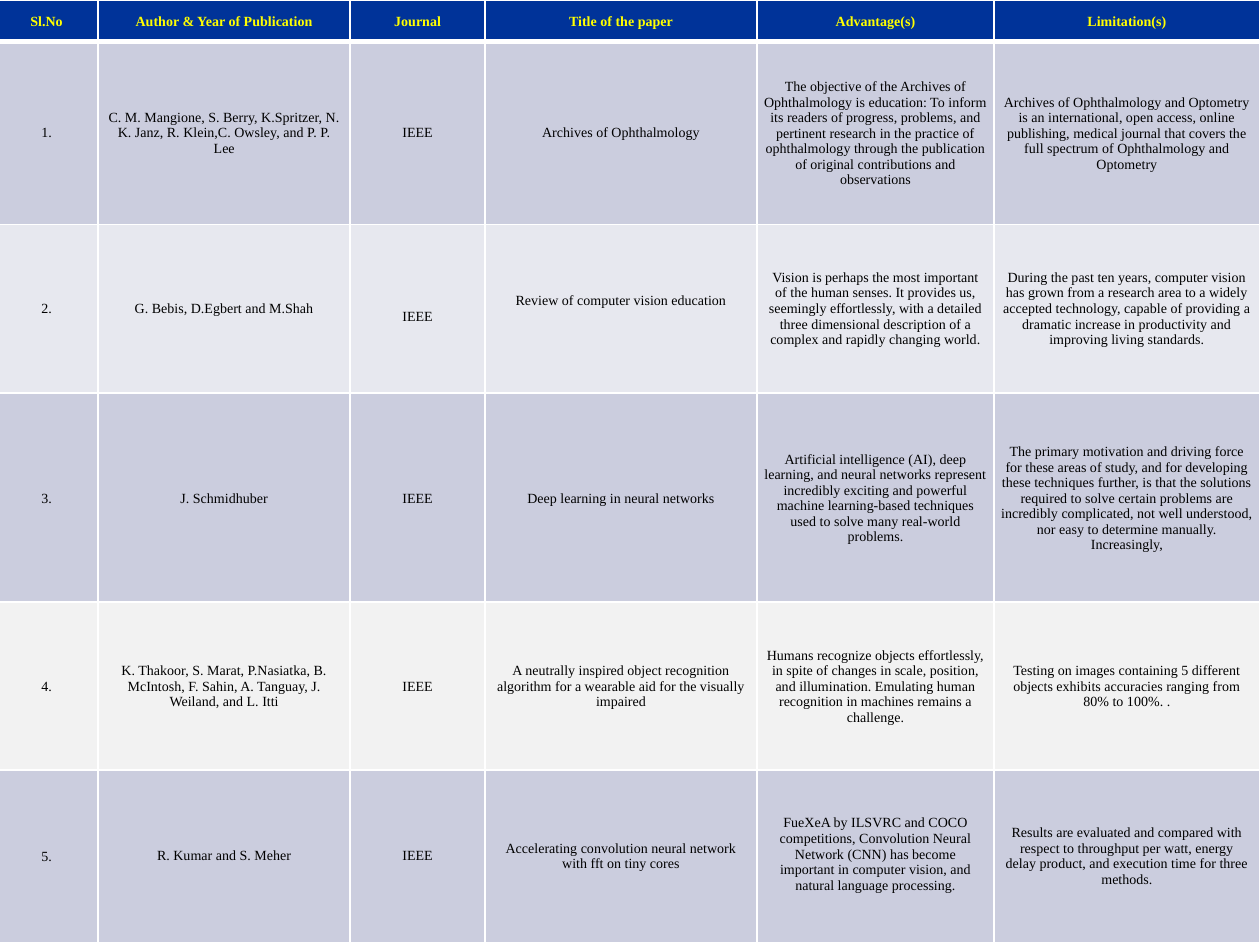
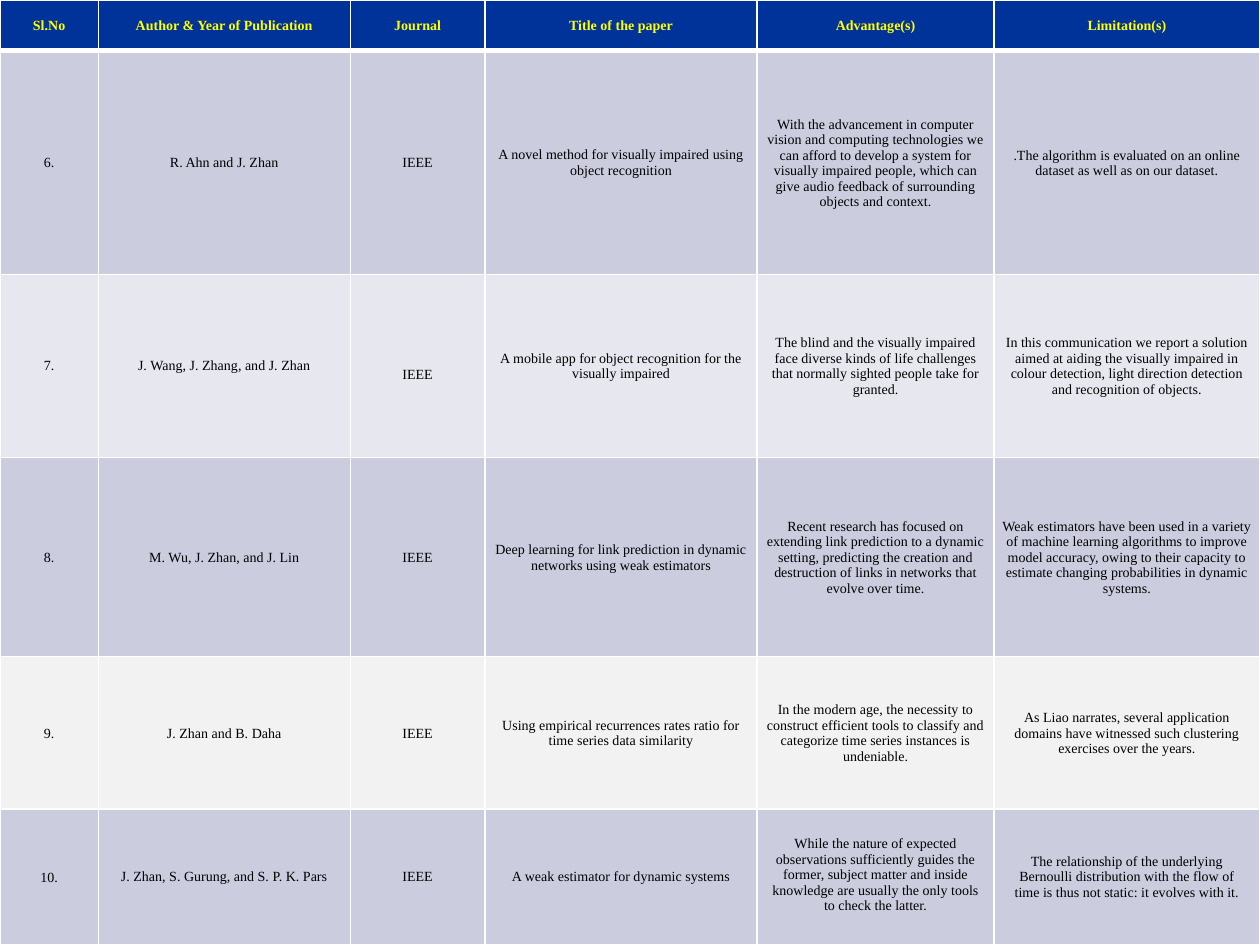
from dataclasses import dataclass

from lxml.etree import SubElement
from pptx import Presentation
from pptx.dml.color import RGBColor
from pptx.enum.text import MSO_VERTICAL_ANCHOR as Anchor, PP_ALIGN as Align
from pptx.oxml.ns import qn
from pptx.util import Inches, Pt

NAVY = RGBColor(0x00, 0x33, 0x99)
YELLOW = RGBColor(0xFF, 0xFF, 0x00)
BLACK = RGBColor(0x00, 0x00, 0x00)
WHITE = RGBColor(0xFF, 0xFF, 0xFF)
LAVENDER = RGBColor(0xCB, 0xCD, 0xDE)
MIST = RGBColor(0xE7, 0xE8, 0xEF)
PALE = RGBColor(0xF2, 0xF2, 0xF2)

FONT = "Times New Roman"
TEXT_SIZE = Pt(8)
THIN, THICK = Pt(1), Pt(3)


@dataclass(frozen=True)
class Inset:
    side: float
    top: float
    bottom: float


NONE = Inset(0, 0, 0)
TIGHT = Inset(0.05, 0.01, 0)
SLIM = Inset(0.07, 0.01, 0)
SNUG = Inset(0.06, 0.03, 0.03)
ROOMY = Inset(0.07, 0.04, 0.04)
LOWERED = Inset(0.07, 0.17, 0.04)
RAISED = Inset(0.06, 0.03, 0.16)
WIDE = Inset(0.09, 0.04, 0.04)


@dataclass(frozen=True)
class RowStyle:
    fill: RGBColor
    insets: tuple[Inset, ...]
    text: RGBColor = BLACK
    bold: bool = False
    top_line: int = THIN
    bottom_line: int = THIN


@dataclass(frozen=True)
class Paper:
    authors: str
    title: str
    advantage: str
    limitation: str
    title_inset: Inset | None = None
    journal: str = "IEEE"


@dataclass(frozen=True)
class Survey:
    """One slide of the literature survey."""
    left: float
    number_width: float
    row_heights: tuple[float, ...]
    first_number: int
    papers: tuple[Paper, ...]


HEADINGS = ("Sl.No", "Author & Year of Publication", "Journal",
            "Title of the paper", "Advantage(s)", "Limitation(s)")
TITLE_COLUMN = HEADINGS.index("Title of the paper")
OTHER_WIDTHS = (2, 1.07, 2.16, 1.88, 2.11)

HEADER_STYLE = RowStyle(NAVY, (TIGHT,) * 6, YELLOW, True, bottom_line=THICK)
PAPER_STYLES = (
    RowStyle(LAVENDER, (NONE, SNUG, ROOMY, SNUG, TIGHT, TIGHT), top_line=THICK),
    RowStyle(MIST, (NONE, SNUG, LOWERED, SNUG, ROOMY, ROOMY)),
    RowStyle(LAVENDER, (TIGHT,) * 6),
    RowStyle(PALE, (TIGHT,) + (SLIM,) * 5),
    RowStyle(LAVENDER, (TIGHT, NONE, Inset(0.1, 0.05, 0.05), WIDE,
                        Inset(0.07, 0.01, 0.04), WIDE)),
)

SURVEYS = (
    Survey(-0.04, 0.82, (0.33, 1.45, 1.34, 1.66, 1.33, 1.37), 1, (
        Paper("C. M. Mangione, S. Berry, K.Spritzer, N. K. Janz, R. Klein,"
              "C. Owsley, and P. P. Lee",
              "Archives of Ophthalmology",
              "The objective of the Archives of Ophthalmology is education: To "
              "inform its readers of progress, problems, and pertinent research "
              "in the practice of ophthalmology through the publication of "
              "original contributions and observations",
              "Archives of Ophthalmology and Optometry is an international, "
              "open access, online publishing, medical journal that covers the "
              "full spectrum of Ophthalmology and Optometry"),
        Paper("G. Bebis, D.Egbert and M.Shah",
              "Review of computer vision education",
              "Vision is perhaps the most important of the human senses. It "
              "provides us, seemingly effortlessly, with a detailed three "
              "dimensional description of a complex and rapidly changing world.",
              "During the past ten years, computer vision has grown from a "
              "research area to a widely accepted technology, capable of "
              "providing a dramatic increase in productivity and improving "
              "living standards.",
              title_inset=RAISED),
        Paper("J. Schmidhuber",
              "Deep learning in neural networks",
              "Artificial intelligence (AI), deep learning, and neural networks "
              "represent incredibly exciting and powerful machine "
              "learning-based techniques used to solve many real-world problems.",
              "The primary motivation and driving force for these areas of "
              "study, and for developing these techniques further, is that the "
              "solutions required to solve certain problems are incredibly "
              "complicated, not well understood, nor easy to determine "
              "manually. Increasingly,"),
        Paper("K. Thakoor, S. Marat, P.Nasiatka, B. McIntosh, F. Sahin, "
              "A. Tanguay, J. Weiland, and L. Itti",
              "A neutrally inspired object recognition algorithm for a wearable "
              "aid for the visually impaired",
              "Humans recognize objects effortlessly, in spite of changes in "
              "scale, position, and illumination. Emulating human recognition "
              "in machines remains a challenge.",
              "Testing on images containing 5 different objects exhibits "
              "accuracies ranging from 80% to 100%. ."),
        Paper("R. Kumar and S. Meher",
              "Accelerating convolution neural network with fft on tiny cores",
              "FueXeA by ILSVRC and COCO competitions, Convolution Neural "
              "Network (CNN) has become important in computer vision, and "
              "natural language processing.",
              "Results are evaluated and compared with respect to throughput "
              "per watt, energy delay product, and execution time for three "
              "methods."),
    )),
    Survey(0, 0.78, (0.4, 1.78, 1.45, 1.58, 1.21, 1.08), 6, (
        Paper("R. Ahn and J. Zhan",
              "A novel method for visually impaired using object recognition",
              "With the advancement in computer vision and computing "
              "technologies we can afford to develop a system for visually "
              "impaired people, which can give audio feedback of surrounding "
              "objects and context.",
              ".The algorithm is evaluated on an online dataset as well as on "
              "our dataset."),
        Paper("J. Wang, J. Zhang, and J. Zhan",
              "A mobile app for object recognition for the visually impaired",
              "The blind and the visually impaired face diverse kinds of life "
              "challenges that normally sighted people take for granted.",
              "In this communication we report a solution aimed at aiding the "
              "visually impaired in colour detection, light direction detection "
              "and recognition of objects."),
        Paper("M. Wu, J. Zhan, and J. Lin",
              "Deep learning for link prediction in dynamic networks using weak "
              "estimators",
              "Recent research has focused on extending link prediction to a "
              "dynamic setting, predicting the creation and destruction of "
              "links in networks that evolve over time.",
              "Weak estimators have been used in a variety of machine learning "
              "algorithms to improve model accuracy, owing to their capacity to "
              "estimate changing probabilities in dynamic systems."),
        Paper("J. Zhan and B. Daha",
              "Using empirical recurrences rates ratio for time series data "
              "similarity",
              "In the modern age, the necessity to construct efficient tools to "
              "classify and categorize time series instances is undeniable.",
              "As Liao narrates, several application domains have witnessed "
              "such clustering exercises over the years."),
        Paper("J. Zhan, S. Gurung, and S. P. K. Pars",
              "A weak estimator for dynamic systems",
              "While the nature of expected observations sufficiently guides "
              "the former, subject matter and inside knowledge are usually the "
              "only tools to check the latter.",
              "The relationship of the underlying Bernoulli distribution with "
              "the flow of time is thus not static: it evolves with it."),
    )),
)


def set_attributes(target, values: dict) -> None:
    for attribute, value in values.items():
        setattr(target, attribute, value)


def draw_borders(cell, style: RowStyle) -> None:
    properties = cell._tc.get_or_add_tcPr()
    widths = {"a:lnL": THIN, "a:lnR": THIN,
              "a:lnT": style.top_line, "a:lnB": style.bottom_line}
    for tag, width in widths.items():
        line = SubElement(properties, qn(tag), w=str(width))
        fill = SubElement(line, qn("a:solidFill"))
        SubElement(fill, qn("a:srgbClr"), val=str(WHITE))


def fill_cell(cell, text: str, style: RowStyle, inset: Inset) -> None:
    draw_borders(cell, style)
    cell.fill.solid()
    cell.fill.fore_color.rgb = style.fill
    cell.text = text
    set_attributes(cell, {
        "vertical_anchor": Anchor.MIDDLE,
        "margin_left": Inches(inset.side), "margin_right": Inches(inset.side),
        "margin_top": Inches(inset.top), "margin_bottom": Inches(inset.bottom),
    })
    paragraph = cell.text_frame.paragraphs[0]
    paragraph.alignment = Align.CENTER
    font = paragraph.runs[0].font
    set_attributes(font, {"name": FONT, "size": TEXT_SIZE, "bold": style.bold})
    font.color.rgb = style.text


def fill_row(row, texts: tuple[str, ...], style: RowStyle,
             title_inset: Inset | None = None) -> None:
    insets = list(style.insets)
    if title_inset:
        insets[TITLE_COLUMN] = title_inset
    for cell, text, inset in zip(row.cells, texts, insets):
        fill_cell(cell, text, style, inset)


def add_survey(deck, survey: Survey) -> None:
    slide = deck.slides.add_slide(deck.slide_layouts[6])
    widths = (survey.number_width, *OTHER_WIDTHS)
    table = slide.shapes.add_table(
        len(survey.row_heights), len(widths), Inches(survey.left), Inches(0),
        Inches(sum(widths)), Inches(sum(survey.row_heights))).table
    table.horz_banding = False
    for column, width in zip(table.columns, widths):
        column.width = Inches(width)
    rows = list(table.rows)
    for row, height in zip(rows, survey.row_heights):
        row.height = Inches(height)
    fill_row(rows[0], HEADINGS, HEADER_STYLE)
    numbered = enumerate(survey.papers, survey.first_number)
    for row, (number, paper), style in zip(rows[1:], numbered, PAPER_STYLES):
        texts = (f"{number}.", paper.authors, paper.journal, paper.title,
                 paper.advantage, paper.limitation)
        fill_row(row, texts, style, paper.title_inset)


def main() -> None:
    deck = Presentation()
    deck.slide_width, deck.slide_height = Inches(10), Inches(7.5)
    for survey in SURVEYS:
        add_survey(deck, survey)
    deck.save("out.pptx")


if __name__ == "__main__":
    main()
